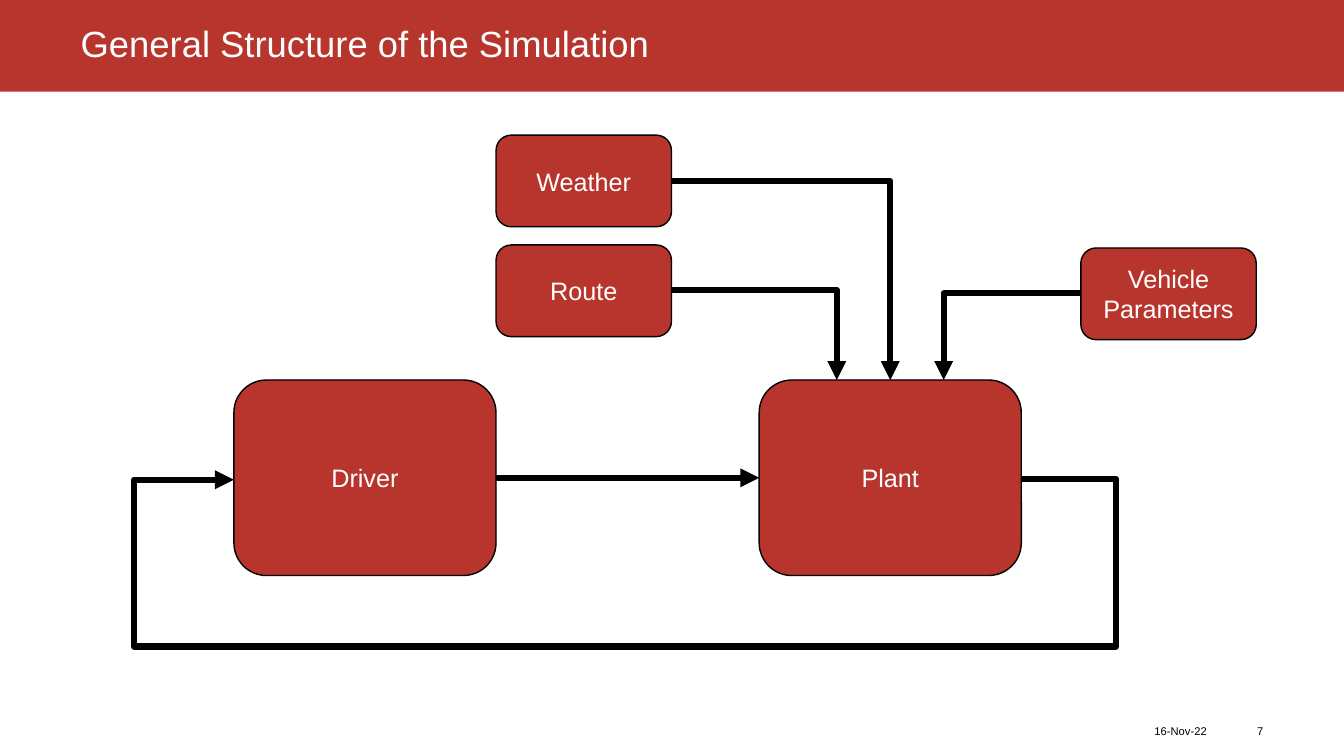
"""Build the slide that shows the general structure of the simulation."""
from dataclasses import dataclass

from lxml.etree import SubElement
from pptx import Presentation
from pptx.dml.color import RGBColor
from pptx.enum.shapes import MSO_CONNECTOR as Link, MSO_SHAPE as Preset
from pptx.enum.text import MSO_ANCHOR as Anchor, PP_ALIGN as Align
from pptx.oxml.ns import qn
from pptx.util import Pt

EMU_PER_PX = 9144
TITLE_ONLY = 5
SLIDE_WIDTH, SLIDE_HEIGHT, BAND_HEIGHT = 1333, 750, 91
TOP, LEFT, RIGHT = 0, 1, 3


@dataclass(frozen=True)
class Theme:
    font: str = "Arial"
    red: RGBColor = RGBColor(0xB7, 0x35, 0x2D)
    black: RGBColor = RGBColor(0, 0, 0)
    white: RGBColor = RGBColor(0xFF, 0xFF, 0xFF)
    title_size: float = 26
    block_size: float = 18
    footer_size: float = 8
    outline: float = 1
    arrow: float = 4.5


@dataclass(frozen=True)
class Block:
    label: str
    left: int
    top: int
    width: int
    height: int


@dataclass(frozen=True)
class Flow:
    points: tuple
    source: tuple | None = None
    target: tuple | None = None


@dataclass(frozen=True)
class FooterItem:
    text: str
    left: int
    width: int
    align: Align


THEME = Theme()
MODEL_SIZE = (260, 194)
INPUT_SIZE = (174, 91)
BLOCKS = (
    Block("Driver", 232, 377, *MODEL_SIZE),
    Block("Plant", 753, 377, *MODEL_SIZE),
    Block("Weather", 492, 134, *INPUT_SIZE),
    Block("Route", 492, 243, *INPUT_SIZE),
    Block("Vehicle\nParameters", 1072, 246, *INPUT_SIZE),
)
FLOWS = (
    Flow(((492, 475), (753, 475)), ("Driver", RIGHT), ("Plant", LEFT)),
    Flow(((667, 180), (883, 180), (883, 377)), ("Weather", RIGHT), ("Plant", TOP)),
    Flow(((1013, 475), (1107, 475), (1107, 644), (133, 644), (133, 476), (232, 476))),
    Flow(((666, 288), (830, 288), (830, 377))),
    Flow(((1072, 291), (936, 291), (936, 377))),
)
FOOTER = (
    FooterItem("16-Nov-22", 1145, 67, Align.LEFT),
    FooterItem("7", 1218, 35, Align.RIGHT),
)


def px(*lengths: int) -> list[int]:
    """Turn px into EMU."""
    return [length * EMU_PER_PX for length in lengths]


def write(frame, text: str, size: float, color: RGBColor, align: Align) -> None:
    """Fill a text frame with evenly formatted paragraphs."""
    frame.text = text
    frame.word_wrap = True
    frame.vertical_anchor = Anchor.MIDDLE
    for paragraph in frame.paragraphs:
        paragraph.alignment = align
        paragraph.font.name = THEME.font
        paragraph.font.size = Pt(size)
        paragraph.font.color.rgb = color


def clear_margins(frame) -> None:
    """Let the text start at the edge of its box."""
    frame.margin_left = frame.margin_right = 0
    frame.margin_top = frame.margin_bottom = 0


def draw_title(slide, text: str) -> None:
    """Place the title on a red band."""
    band = slide.shapes.add_shape(Preset.RECTANGLE, *px(0, 0, SLIDE_WIDTH, BAND_HEIGHT))
    band.shadow.inherit = False
    band.fill.solid()
    band.fill.fore_color.rgb = THEME.red
    band.line.fill.background()
    title = slide.shapes.title
    title._element.addprevious(band._element)
    title.left, title.top, title.width, title.height = px(80, 0, 1173, BAND_HEIGHT)
    write(title.text_frame, text, THEME.title_size, THEME.white, Align.LEFT)
    clear_margins(title.text_frame)
    title.text_frame.paragraphs[0].line_spacing = 0.9


def draw_footer_item(slide, item: FooterItem) -> None:
    """Draw one small text at the foot of the slide."""
    box = slide.shapes.add_textbox(*px(item.left, 713, item.width, 24))
    write(box.text_frame, item.text, THEME.footer_size, THEME.black, item.align)
    clear_margins(box.text_frame)


def draw_block(slide, block: Block):
    """Draw one rounded block with its label."""
    shape = slide.shapes.add_shape(
        Preset.ROUNDED_RECTANGLE, *px(block.left, block.top, block.width, block.height))
    shape.shadow.inherit = False
    shape.fill.solid()
    shape.fill.fore_color.rgb = THEME.red
    shape.line.color.rgb = THEME.black
    shape.line.width = Pt(THEME.outline)
    write(shape.text_frame, block.label, THEME.block_size, THEME.white, Align.CENTER)
    return shape


def bend(connector, points: tuple) -> None:
    """Shape an elbow connector so that it passes through the points."""
    geometry = connector._element.spPr.find(qn("a:prstGeom"))
    geometry.set("prst", f"bentConnector{len(points) - 1}")
    if len(points) < 4:
        return
    start, end = points[0], points[-1]
    guides = geometry.find(qn("a:avLst"))
    for number, corner in enumerate(points[1:-2], 1):
        axis = (number + 1) % 2
        share = (corner[axis] - start[axis]) / (end[axis] - start[axis])
        SubElement(guides, qn("a:gd"), name=f"adj{number}", fmla=f"val {round(share * 100000)}")


def draw_flow(slide, flow: Flow, blocks: dict) -> None:
    """Draw one arrow, attached to the blocks it names."""
    is_straight = len(flow.points) == 2
    connector = slide.shapes.add_connector(
        Link.STRAIGHT if is_straight else Link.ELBOW,
        *px(*flow.points[0], *flow.points[-1]))
    if flow.source:
        label, site = flow.source
        connector.begin_connect(blocks[label], site)
    if flow.target:
        label, site = flow.target
        connector.end_connect(blocks[label], site)
    if not is_straight:
        bend(connector, flow.points)
    connector.line.color.rgb = THEME.black
    connector.line.width = Pt(THEME.arrow)
    SubElement(connector.line._get_or_add_ln(), qn("a:tailEnd"), type="triangle")
    SubElement(connector._element.spPr, qn("a:effectLst"))


def main() -> None:
    """Build and save the presentation."""
    presentation = Presentation()
    presentation.slide_width, presentation.slide_height = px(SLIDE_WIDTH, SLIDE_HEIGHT)
    slide = presentation.slides.add_slide(presentation.slide_layouts[TITLE_ONLY])
    draw_title(slide, "General Structure of the Simulation")
    for item in FOOTER:
        draw_footer_item(slide, item)
    blocks = {block.label: draw_block(slide, block) for block in BLOCKS}
    for flow in FLOWS:
        draw_flow(slide, flow, blocks)
    presentation.save("out.pptx")


if __name__ == "__main__":
    main()
